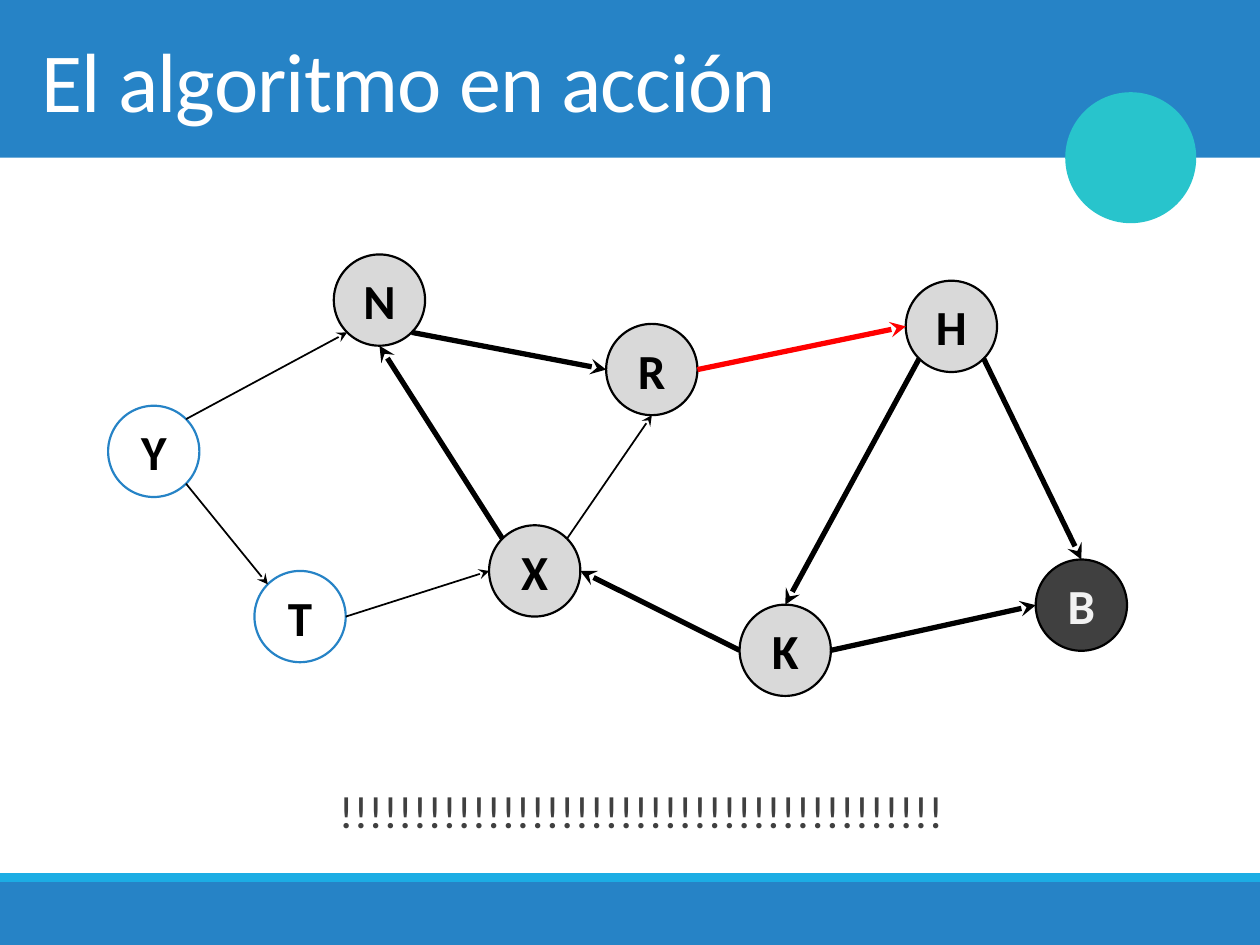
"""Build the slide that shows one step of a graph search as a node-and-arrow diagram."""
from math import cos, radians, sin

from lxml.etree import SubElement
from pptx import Presentation
from pptx.dml.color import RGBColor
from pptx.enum.shapes import MSO_CONNECTOR as Link, MSO_SHAPE as Preset
from pptx.enum.text import MSO_ANCHOR as Anchor, PP_ALIGN as Align
from pptx.oxml.ns import qn
from pptx.util import Cm, Pt

TITLE = "El algoritmo en acción"
CAPTION = "!" * 41

NODES = {
    "Y": (2.18, 8.18, "pending"),
    "N": (6.73, 5.13, "reached"),
    "T": (5.13, 11.51, "pending"),
    "X": (9.86, 10.59, "reached"),
    "R": (12.22, 6.53, "reached"),
    "K": (14.91, 12.19, "reached"),
    "H": (18.26, 5.66, "reached"),
    "B": (20.88, 11.28, "start"),
}
EDGES = [
    ("Y", "top right", "N", "bottom left", "plain"),
    ("Y", "bottom right", "T", "top left", "plain"),
    ("N", "bottom right", "R", "left", "visited"),
    ("T", "right", "X", "left", "plain"),
    ("X", "top right", "R", "bottom", "plain"),
    ("R", "right", "H", "left", "current"),
    ("H", "bottom left", "K", "top", "visited"),
    ("X", "top left", "N", "bottom", "visited"),
    ("K", "left", "X", "right", "visited"),
    ("K", "right", "B", "left", "visited"),
    ("H", "bottom right", "B", "top", "visited"),
]
SITES = ["top", "top left", "left", "bottom left",
         "bottom", "bottom right", "right", "top right"]

THEME = {
    "font": "Calibri",
    "title": {"size": 48, "color": "FFFFFF"},
    "caption": {"size": 25.9, "color": "404040"},
    "bullet": "1CADE4",
    "bands": {"main": "2683C6", "stripe": "1CADE4", "disc": "28C4CC"},
    "nodes": {
        "pending": {"fill": "FFFFFF", "line": "2683C6", "text": "000000"},
        "reached": {"fill": "D9D9D9", "line": "000000", "text": "000000"},
        "start": {"fill": "404040", "line": "000000", "text": "F2F2F2"},
    },
    "node_line": 1.25,
    "node_size": 28,
    "edges": {"plain": ("000000", 1), "visited": ("000000", 3), "current": ("FF0000", 3)},
}

WIDTH, HEIGHT = 25.4, 19.05
DIAMETER = 1.84
HEADER, FOOTER, STRIPE = 3.18, 1.27, 0.18
TEXT_LEFT, TEXT_WIDTH = 0.71, 24
SIDE_INSET = 0.13


def rgb(code):
    return RGBColor.from_string(code)


def set_all(target, values):
    for key, value in values.items():
        setattr(target, key, value)


def write(frame, wording, size, color, align, bold=False, **frame_format):
    set_all(frame, frame_format)
    paragraph = frame.paragraphs[0]
    paragraph.alignment = align
    run = paragraph.add_run()
    run.text = wording
    set_all(run.font, {"name": THEME["font"], "size": Pt(size), "bold": bold})
    run.font.color.rgb = rgb(color)
    return paragraph, run


def add_filled(shapes, preset, box, fill, line=None, weight=0):
    shape = shapes.add_shape(preset, *map(Cm, box))
    shape.shadow.inherit = False
    shape.fill.solid()
    shape.fill.fore_color.rgb = rgb(fill)
    if line:
        shape.line.color.rgb = rgb(line)
        shape.line.width = Pt(weight)
    else:
        shape.line.fill.background()
    return shape


def add_bands(shapes):
    bands = THEME["bands"]
    footer_top = HEIGHT - FOOTER
    for top, height, fill in [
        (0, HEADER, bands["main"]),
        (footer_top, FOOTER, bands["main"]),
        (footer_top - STRIPE, STRIPE, bands["stripe"]),
    ]:
        add_filled(shapes, Preset.RECTANGLE, (0, top, WIDTH, height), fill)
    disc = 2.57
    add_filled(shapes, Preset.OVAL, (21.51, HEADER - disc / 2, disc, disc),
               bands["disc"], bands["disc"], 2)


def add_title(shapes):
    title = shapes.title
    set_all(title, {"left": Cm(TEXT_LEFT), "top": 0,
                    "width": Cm(TEXT_WIDTH), "height": Cm(HEADER)})
    _, run = write(title.text_frame, TITLE, align=Align.LEFT, **THEME["title"],
                   vertical_anchor=Anchor.MIDDLE, word_wrap=True,
                   margin_left=Cm(SIDE_INSET), margin_right=Cm(SIDE_INSET))
    run.font.element.set("spc", "-50") if hasattr(run.font, "element") else \
        run._r.get_or_add_rPr().set("spc", "-50")
    shapes.element.append(title.element)


def add_caption(shapes):
    caption = shapes.add_textbox(*map(Cm, (TEXT_LEFT, 15.34, TEXT_WIDTH, 1.6)))
    paragraph, _ = write(caption.text_frame, CAPTION, align=Align.CENTER,
                         **THEME["caption"], word_wrap=True,
                         margin_left=Cm(SIDE_INSET), margin_right=Cm(SIDE_INSET))
    set_all(paragraph, {"line_spacing": 1.3, "space_before": Pt(12), "space_after": Pt(2)})
    properties = paragraph._p.get_or_add_pPr()
    properties.set("marL", str(Cm(0.25)))
    properties.set("indent", str(-Cm(0.25)))
    bullet_color = SubElement(properties, qn("a:buClr"))
    SubElement(bullet_color, qn("a:srgbClr"), val=THEME["bullet"])
    SubElement(properties, qn("a:buChar"), char=" ")


def add_node(shapes, letter, left, top, state):
    look = THEME["nodes"][state]
    node = add_filled(shapes, Preset.OVAL, (left, top, DIAMETER, DIAMETER),
                      look["fill"], look["line"], THEME["node_line"])
    write(node.text_frame, letter, THEME["node_size"], look["text"], Align.CENTER,
          bold=True, vertical_anchor=Anchor.MIDDLE, word_wrap=False,
          margin_left=0, margin_right=0, margin_top=0, margin_bottom=0)
    return node


def site_point(letter, site):
    left, top, _ = NODES[letter]
    angle = radians(90 + 45 * SITES.index(site))
    radius = DIAMETER / 2
    return Cm(left + radius + radius * cos(angle)), Cm(top + radius - radius * sin(angle))


def add_edge(shapes, circles, source, leaving, target, entering, kind):
    color, weight = THEME["edges"][kind]
    edge = shapes.add_connector(Link.STRAIGHT, *site_point(source, leaving),
                                *site_point(target, entering))
    edge.line.color.rgb = rgb(color)
    edge.line.width = Pt(weight)
    SubElement(edge.line._get_or_add_ln(), qn("a:tailEnd"), type="stealth")
    SubElement(edge.element.spPr, qn("a:effectLst"))
    joints = edge.element.find(".//" + qn("p:cNvCxnSpPr"))
    for tag, letter, site in [("a:stCxn", source, leaving), ("a:endCxn", target, entering)]:
        SubElement(joints, qn(tag), id=str(circles[letter].shape_id),
                   idx=str(SITES.index(site)))


def main():
    deck = Presentation()
    set_all(deck, {"slide_width": Cm(WIDTH), "slide_height": Cm(HEIGHT)})
    shapes = deck.slides.add_slide(deck.slide_layouts[5]).shapes
    add_bands(shapes)
    add_title(shapes)
    add_caption(shapes)
    circles = {letter: add_node(shapes, letter, *place) for letter, place in NODES.items()}
    for edge in EDGES:
        add_edge(shapes, circles, *edge)
    deck.save("out.pptx")


if __name__ == "__main__":
    main()
